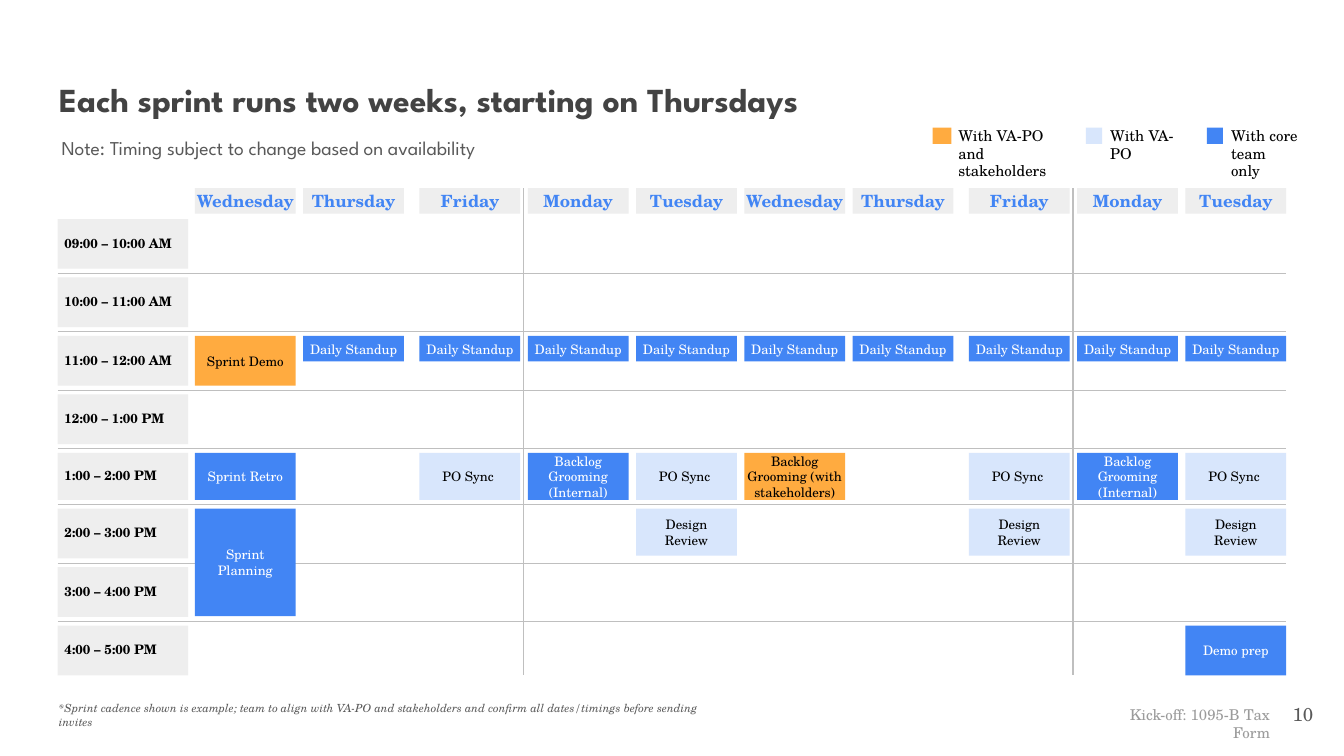
from lxml.etree import SubElement
from pptx import Presentation
from pptx.dml.color import RGBColor
from pptx.enum.shapes import MSO_CONNECTOR as Connector, MSO_SHAPE as Shape
from pptx.enum.text import MSO_ANCHOR as Anchor, MSO_AUTO_SIZE as AutoSize, PP_ALIGN as Align
from pptx.oxml.ns import qn
from pptx.util import Inches, Pt

SERIF, SANS = "TeX Gyre Schola", "League Spartan"
BLUE, PALE, ORANGE = "4285F4", "D8E6FC", "FFAB40"
GREY, RULE, BLACK, WHITE, SLATE = "EEEEEE", "BFBFBF", "000000", "FFFFFF", "595959"

SLIDE_WIDTH = 10
SLIDE_HEIGHT = SLIDE_WIDTH * 9 / 16
LEFT, RIGHT, LABEL_WIDTH = 0.43, 9.57, 0.97
DAY_LEFT, DAY_WIDTH, FRIDAY_GAP = 1.45, 0.75, 0.06
DAY_PITCH = (8.82 - DAY_LEFT - 2 * FRIDAY_GAP) / 9
HEADER_TOP, HEADER_HEIGHT = 1.4, 0.19
SLOT_TOP, SLOT_HEIGHT, SLOT_GAP, BOTTOM = 1.63, 0.37, 0.065, 5.02
SHORT_SLOT, SHORT_HEIGHT = 4, 0.35

DAYS = ["Wednesday", "Thursday", "Friday", "Monday", "Tuesday"] * 2
HOURS = ["09:00 – 10:00 AM", "10:00 – 11:00 AM", "11:00 – 12:00 AM", "12:00 – 1:00 PM",
         "1:00 – 2:00 PM", "2:00 – 3:00 PM", "3:00 – 4:00 PM", "4:00 – 5:00 PM"]
# label, fill, slot, day columns, height, side inset
EVENTS = [
    ("Sprint Demo", ORANGE, 2, [0], 0.37, 0.07),
    ("Daily Standup", BLUE, 2, range(1, 10), 0.19, 0.03),
    ("Sprint Retro", BLUE, 4, [0], 0.35, 0.07),
    ("PO Sync ", PALE, 4, [2, 4, 7, 9], 0.35, 0.1),
    ("Backlog Grooming (Internal)", BLUE, 4, [3, 8], 0.35, 0.1),
    ("Backlog Grooming (with stakeholders)", ORANGE, 4, [5], 0.35, 0),
    ("Sprint Planning", BLUE, 5, [0], 0.8, 0.07),
    ("Design Review", PALE, 5, [4, 7, 9], 0.35, 0.1),
    ("Demo prep", BLUE, 7, [9], 0.37, 0.07),
]
LEGEND = [("With VA-PO and stakeholders", ORANGE, 6.94, 0.14, 7.13, 0.85, 0.27),
          ("With VA-PO", PALE, 8.08, 0.12, 8.26, 0.63, 0.13),
          ("With core team only", BLUE, 8.98, 0.12, 9.16, 0.5, 0.27)]


def rgb(code):
    """Turn a hex string into a colour."""
    return RGBColor.from_string(code)


def day_x(day):
    """Left edge of a day column, with extra room before each Friday."""
    return DAY_LEFT + day * DAY_PITCH + DAYS[:day + 1].count("Friday") * FRIDAY_GAP


def slot_height(slot):
    """Height of an hour slot."""
    return SHORT_HEIGHT if slot == SHORT_SLOT else SLOT_HEIGHT


def slot_y(slot):
    """Top edge of an hour slot."""
    return SLOT_TOP + sum(slot_height(earlier) + SLOT_GAP for earlier in range(slot))


def write(holder, text, size, color, font=SERIF, bold=False, italic=False,
          align=Align.LEFT, anchor=Anchor.TOP, insets=(0.1, 0.1, 0.1, 0.1), spacing=1.0):
    """Fill a text holder with one formatted paragraph."""
    frame = holder.text_frame
    frame.word_wrap, frame.auto_size = True, AutoSize.NONE
    frame.vertical_anchor = anchor
    (frame.margin_left, frame.margin_top,
     frame.margin_right, frame.margin_bottom) = map(Inches, insets)
    paragraph = frame.paragraphs[0]
    paragraph.text, paragraph.alignment, paragraph.line_spacing = text, align, spacing
    style = paragraph.font
    style.name, style.size, style.bold, style.italic = font, Pt(size), bold, italic
    style.color.rgb = rgb(color)


def add_block(shapes, x, y, width, height, fill):
    """Add a plain filled rectangle."""
    block = shapes.add_shape(Shape.RECTANGLE, *map(Inches, (x, y, width, height)))
    block.shadow.inherit = False
    block.fill.solid()
    block.fill.fore_color.rgb = rgb(fill)
    block.line.fill.background()
    return block


def add_note(shapes, x, y, width, height, text, size, color, **style):
    """Add a text box."""
    write(shapes.add_textbox(*map(Inches, (x, y, width, height))), text, size, color, **style)


def add_rule(shapes, x1, y1, x2, y2, weight):
    """Add a straight grey rule."""
    rule = shapes.add_connector(Connector.STRAIGHT, *map(Inches, (x1, y1, x2, y2)))
    rule.line.color.rgb, rule.line.width = rgb(RULE), Pt(weight)
    SubElement(rule._element.spPr, qn("a:effectLst"))


def add_calendar(shapes):
    """Draw the rules, day headers and hour labels."""
    for slot in range(1, len(HOURS)):
        y = slot_y(slot) - SLOT_GAP / 2
        add_rule(shapes, LEFT, y, RIGHT, y, 0.25)
    for day, name in enumerate(DAYS):
        x = day_x(day)
        if name == "Monday":
            add_rule(shapes, x - 0.03, HEADER_TOP, x - 0.03, BOTTOM, 0.75)
        header = add_block(shapes, x, HEADER_TOP, DAY_WIDTH, HEADER_HEIGHT, GREY)
        write(header, name, 9, BLUE, bold=True, align=Align.CENTER,
              anchor=Anchor.MIDDLE, insets=(0, 0, 0, 0.01), spacing=1.1)
    for slot, hours in enumerate(HOURS):
        label = add_block(shapes, LEFT, slot_y(slot), LABEL_WIDTH, slot_height(slot), GREY)
        write(label, hours, 7, BLACK, bold=True, anchor=Anchor.MIDDLE,
              insets=(0.05, 0.05, 0.03, 0.05), spacing=0.9)


def add_events(shapes):
    """Place every meeting in its day and hour."""
    for name, fill, slot, days, height, inset in EVENTS:
        for day in days:
            event = add_block(shapes, day_x(day), slot_y(slot), DAY_WIDTH, height, fill)
            write(event, name, 7, WHITE if fill == BLUE else BLACK, align=Align.CENTER,
                  anchor=Anchor.MIDDLE, insets=(inset, 0, inset, 0))


def add_legend(shapes):
    """Add the grouped colour keys."""
    for name, fill, swatch_x, swatch_width, text_x, text_width, text_height in LEGEND:
        key = shapes.add_group_shape().shapes
        add_block(key, swatch_x, 0.95, swatch_width, 0.12, fill)
        add_note(key, text_x, 0.94, text_width, text_height, name, 8, BLACK,
                 insets=(0, 0, 0, 0))


def main():
    """Build the sprint calendar slide."""
    deck = Presentation()
    deck.slide_width, deck.slide_height = Inches(SLIDE_WIDTH), Inches(SLIDE_HEIGHT)
    slide = deck.slides.add_slide(deck.slide_layouts[5])
    shapes = slide.shapes
    title = shapes.title
    title.left, title.top, title.width, title.height = map(Inches, (0.34, 0.49, 9.32, 0.5))
    write(title, "Each sprint runs two weeks, starting on Thursdays", 18, "434343",
          font=SANS, bold=True)
    add_note(shapes, 0.36, 0.96, 4.2, 0.29,
             "Note: Timing subject to change based on availability", 10.5, SLATE,
             font=SANS, insets=(0.1, 0.05, 0.1, 0.05))
    add_calendar(shapes)
    add_events(shapes)
    add_legend(shapes)
    add_note(shapes, 0.34, 5.12, 5.2, 0.3,
             "*Sprint cadence shown is example; team to align with VA-PO and stakeholders "
             "and confirm all dates/timings before sending invites", 6, SLATE, italic=True)
    add_note(shapes, 8.02, 5.15, 1.53, 0.39, "Kick-off: 1095-B Tax Form", 8, "9B9B9B",
             align=Align.RIGHT)
    add_note(shapes, 9.27, 5.1, 0.6, 0.43, "10", 10, SLATE, align=Align.RIGHT,
             anchor=Anchor.MIDDLE)
    deck.save("out.pptx")


if __name__ == "__main__":
    main()
